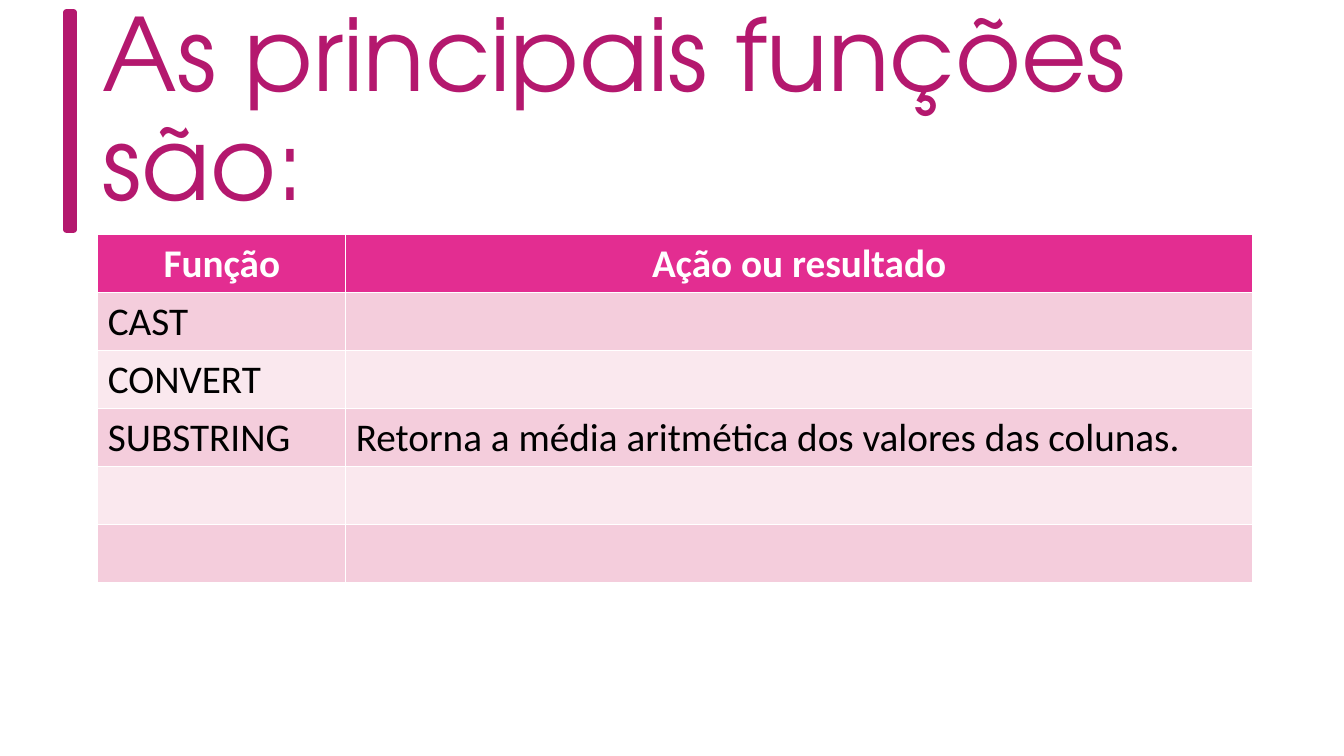
"""Build the slide that lists the main SQL conversion functions in a table."""
from pptx import Presentation
from pptx.dml.color import RGBColor
from pptx.enum.shapes import MSO_SHAPE
from pptx.enum.text import MSO_ANCHOR, PP_ALIGN
from pptx.util import Inches, Pt

COLORS = {"title": "B4186E", "header": "E32D91", "odd": "F4CDDC",
          "even": "FAE8EE", "white": "FFFFFF", "black": "000000"}
COLUMN_WIDTHS = (2.46, 8.99)
ROW_HEIGHT = 0.575
ROWS = [
    ("Função", "Ação ou resultado"),
    ("CAST", ""),
    ("CONVERT", ""),
    ("SUBSTRING", "Retorna a média aritmética dos valores das colunas."),
    ("", ""),
    ("", ""),
]


def color(name):
    return RGBColor.from_string(COLORS[name])


def style(paragraph, font_name, size, color_name, bold=False):
    font = paragraph.font
    font.name, font.size, font.bold = font_name, Pt(size), bold
    font.color.rgb = color(color_name)


presentation = Presentation()
presentation.slide_width, presentation.slide_height = Inches(13.33), Inches(7.5)
slide = presentation.slides.add_slide(presentation.slide_layouts[6])

accent_bar = slide.shapes.add_shape(
    MSO_SHAPE.RECTANGLE, Inches(0.66), Inches(0.12), Inches(0.07), Inches(2.16))
accent_bar.shadow.inherit = False
accent_bar.fill.solid()
accent_bar.fill.fore_color.rgb = color("title")
accent_bar.line.color.rgb = color("title")
accent_bar.line.width = Pt(4.33)

title = slide.shapes.add_textbox(
    Inches(0.92), Inches(0.4), Inches(11.5), Inches(1.45)).text_frame
title.word_wrap = True
title.vertical_anchor = MSO_ANCHOR.MIDDLE
title.text = "As principais funções são:"
title.paragraphs[0].line_spacing = 0.9
style(title.paragraphs[0], "TeX Gyre Adventor", 72, "title")

table = slide.shapes.add_table(
    len(ROWS), len(COLUMN_WIDTHS), Inches(0.97), Inches(2.33),
    Inches(sum(COLUMN_WIDTHS)), Inches(ROW_HEIGHT * len(ROWS))).table
for column, width in zip(table.columns, COLUMN_WIDTHS):
    column.width = Inches(width)

for row_index, texts in enumerate(ROWS):
    is_header = row_index == 0
    fill_name = "header" if is_header else "odd" if row_index % 2 else "even"
    for column_index, text in enumerate(texts):
        cell = table.cell(row_index, column_index)
        cell.fill.solid()
        cell.fill.fore_color.rgb = color(fill_name)
        cell.text = text
        paragraph = cell.text_frame.paragraphs[0]
        paragraph.alignment = PP_ALIGN.CENTER if is_header else PP_ALIGN.LEFT
        style(paragraph, "Calibri", 28, "white" if is_header else "black", is_header)

presentation.save("out.pptx")
